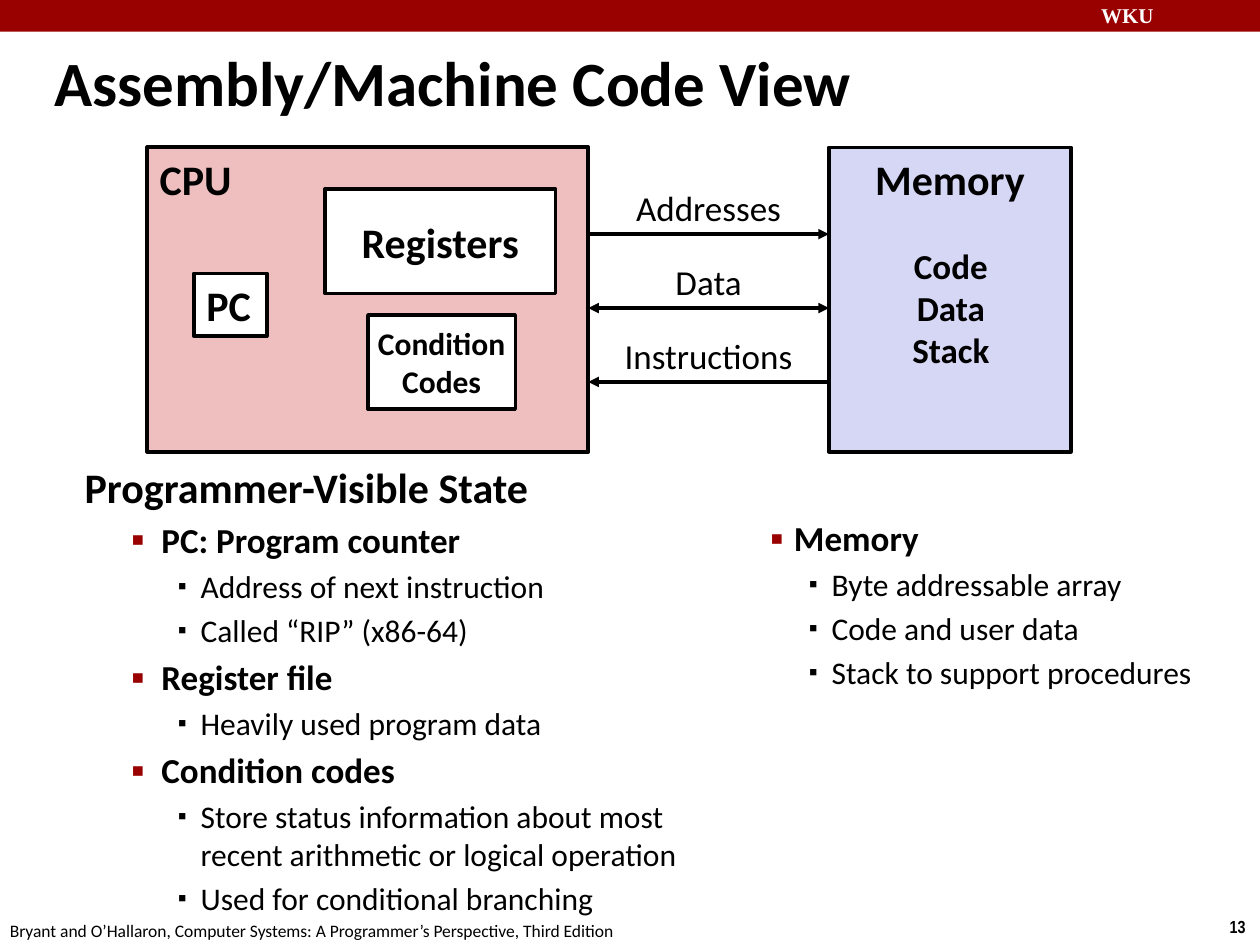
from dataclasses import dataclass

from pptx import Presentation
from pptx.dml.color import RGBColor
from pptx.enum.shapes import MSO_CONNECTOR, MSO_SHAPE
from pptx.enum.text import MSO_ANCHOR, MSO_AUTO_SIZE, PP_ALIGN
from pptx.oxml.ns import qn
from pptx.util import Cm, Pt

RECT = MSO_SHAPE.RECTANGLE
STRAIGHT = MSO_CONNECTOR.STRAIGHT
TOP, MIDDLE = MSO_ANCHOR.TOP, MSO_ANCHOR.MIDDLE
LEFT, CENTER = PP_ALIGN.LEFT, PP_ALIGN.CENTER
FIXED = MSO_AUTO_SIZE.NONE


@dataclass(frozen=True)
class Theme:
    black: str = "000000"
    white: str = "FFFFFF"
    red: str = "990000"
    pink: str = "EFBFBF"
    blue: str = "D6D6F5"
    face: str = "Calibri"
    serif: str = "Times New Roman"
    narrow: str = "Arial Narrow"
    title: int = 36
    head: int = 24
    item: int = 20
    sub: int = 18
    brand: int = 12
    foot: int = 10


THEME = Theme()
LEVELS = [
    dict(size=THEME.head, bold=True),
    dict(size=THEME.item, bold=True),
    dict(size=THEME.sub, bold=False),
]
BULLETS = [None, (110, THEME.red), (80, None)]
STATE = [
    (0, "Programmer-Visible State"),
    (1, "PC: Program counter"),
    (2, "Address of next instruction"),
    (2, "Called “RIP” (x86-64)"),
    (1, "Register file"),
    (2, "Heavily used program data"),
    (1, "Condition codes"),
    (2, "Store status information about most recent arithmetic or logical operation"),
    (2, "Used for conditional branching"),
]
MEMORY = [
    (1, "Memory"),
    (2, "Byte addressable array"),
    (2, "Code and user data"),
    (2, "Stack to support procedures"),
]
BUSES = [("Addresses", "tail"), ("Data", "head tail"), ("Instructions", "head")]


def write(par, text, size=THEME.head, bold=False, color=THEME.black,
          face=THEME.face, align=LEFT):
    par.alignment = align
    run = par.add_run()
    run.text = text
    font = run.font
    font.name, font.size, font.bold = face, Pt(size), bold
    font.color.rgb = RGBColor.from_string(color)


def add_bullet(par, mark, left, hang):
    props = par._p.get_or_add_pPr()
    props.set("marL", str(Cm(left)))
    props.set("indent", str(-Cm(hang)))
    if mark is None:
        props.append(props.makeelement(qn("a:buNone"), {}))
        return
    scale, color = mark
    if color:
        tint = props.makeelement(qn("a:buClr"), {})
        tint.append(tint.makeelement(qn("a:srgbClr"), {"val": color}))
        props.append(tint)
    props.append(props.makeelement(qn("a:buSzPct"), {"val": str(scale * 1000)}))
    props.append(props.makeelement(qn("a:buChar"), {"char": "▪"}))


class Deck:
    """Draw styled elements on the current slide."""

    def __init__(self, theme):
        self.theme = theme
        self.file = Presentation()
        self.file.slide_width, self.file.slide_height = Cm(25.4), Cm(19.05)
        self.slide = self.file.slides.add_slide(self.file.slide_layouts[3])

    def fill_text(self, frame, text, anchor=TOP, wrap=True, **style):
        frame.word_wrap, frame.vertical_anchor = wrap, anchor
        for i, line in enumerate(text.split("\n")):
            par = frame.add_paragraph() if i else frame.paragraphs[0]
            write(par, line, **style)

    def place(self, index, box):
        holder = self.slide.placeholders[index]
        holder.left, holder.top, holder.width, holder.height = map(Cm, box)
        holder.text_frame.auto_size = FIXED
        return holder.text_frame

    def title(self, text, box):
        self.fill_text(self.place(0, box), text, MIDDLE,
                       size=self.theme.title, bold=True)

    def outline(self, index, items, box, indents):
        frame = self.place(index, box)
        frame.word_wrap, frame.vertical_anchor = True, TOP
        for i, (level, text) in enumerate(items):
            par = frame.add_paragraph() if i else frame.paragraphs[0]
            par.level = level
            style = LEVELS[level]
            par.space_before = Pt(style["size"] * 0.2 if i else 0)
            add_bullet(par, BULLETS[level], *indents[level])
            write(par, text, **style)

    def label(self, text, box, **style):
        shape = self.slide.shapes.add_textbox(*map(Cm, box))
        self.fill_text(shape.text_frame, text, **style)

    def block(self, box, fill, text="", line=2, **style):
        shape = self.slide.shapes.add_shape(RECT, *map(Cm, box))
        shape.shadow.inherit = False
        shape.fill.solid()
        shape.fill.fore_color.rgb = RGBColor.from_string(fill)
        if line:
            shape.line.color.rgb = RGBColor.from_string(self.theme.black)
            shape.line.width = Pt(line)
        else:
            shape.line.fill.background()
        if text:
            self.fill_text(shape.text_frame, text, bold=True, **style)

    def arrow(self, left, right, y, ends):
        link = self.slide.shapes.add_connector(
            STRAIGHT, Cm(left), Cm(y), Cm(right), Cm(y))
        link.line.color.rgb = RGBColor.from_string(self.theme.black)
        link.line.width = Pt(2)
        stroke = link.line._get_or_add_ln()
        for end in ends.split():
            stroke.append(stroke.makeelement(qn(f"a:{end}End"), {"type": "triangle"}))
        props = link._element.spPr
        props.append(props.makeelement(qn("a:effectLst"), {}))


def main():
    deck, t = Deck(THEME), THEME
    deck.block((0, 0, 25.4, 0.64), t.red, line=0)
    deck.label("WKU", (21.95, -0.08, 3.45, 0.76), size=t.brand, bold=True,
               color=t.white, face=t.serif)
    deck.label("13", (24.54, 18.34, 0.86, 0.69), size=t.foot, bold=True,
               face=t.narrow, wrap=False)
    deck.label("Bryant and O’Hallaron, Computer Systems: "
               "A Programmer’s Perspective, Third Edition",
               (-0.05, 18.42, 12.9, 0.69), size=t.foot, wrap=False)
    deck.title("Assembly/Machine Code View", (0.84, 0.84, 20.07, 1.6))

    top, height, cpu, gap, store = 2.97, 6.14, 2.97, 11.86, 16.71
    deck.block((cpu, top, gap - cpu, height), t.pink, "CPU", line=2.25)
    deck.block((3.91, 5.51, 1.47, 1.27), t.white, "PC",
               anchor=MIDDLE, wrap=False)
    deck.block((6.55, 3.81, 4.65, 2.11), t.white, "Registers",
               anchor=MIDDLE, wrap=False, align=CENTER)
    deck.block((7.42, 6.35, 2.97, 1.9), t.white, "Condition\nCodes",
               anchor=MIDDLE, wrap=False, align=CENTER, size=t.sub)
    deck.block((store, top, 4.88, height), t.blue, "Memory",
               wrap=False, align=CENTER)
    deck.label("Code\nData\nStack", (17.58, 4.8, 3.18, 2.82),
               size=t.item, bold=True, align=CENTER)

    for i, (name, ends) in enumerate(BUSES):
        y = 4.72 + 1.49 * i
        deck.arrow(gap, store, y, ends)
        deck.label(name, (gap, y - 1.08, store - gap, 1.09),
                   size=t.item, align=CENTER)

    deck.outline(1, STATE, (1.45, 9.17, 13.49, 8.59),
                 [(0.64, 0.64), (1.55, 0.61), (2.34, 0.46)])
    deck.outline(2, MEMORY, (14.94, 10.29, 10.06, 4.37),
                 [(0, 0), (0.81, 0.48), (1.57, 0.46)])
    deck.file.save("out.pptx")


if __name__ == "__main__":
    main()
